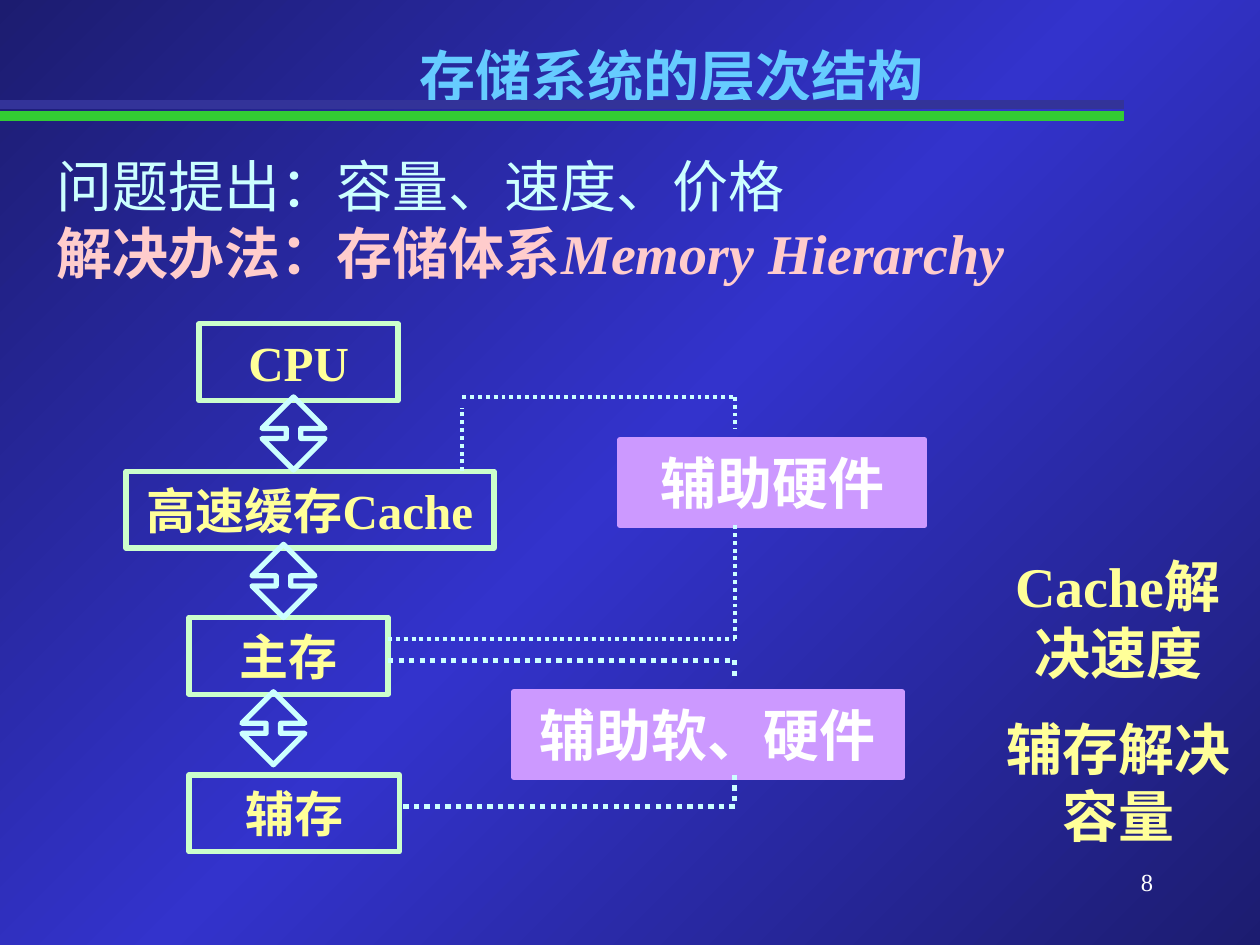
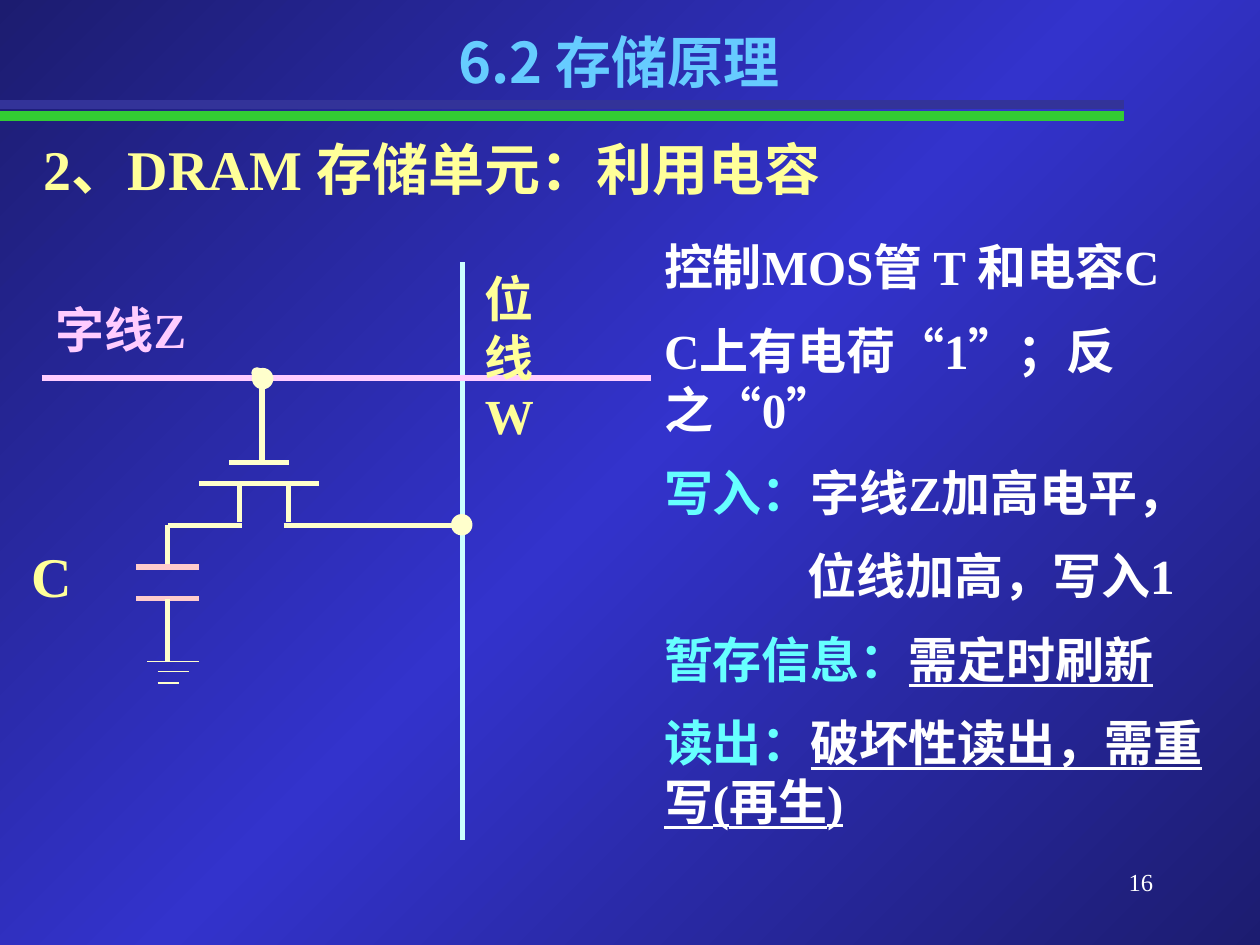
from copy import deepcopy
from dataclasses import dataclass
from itertools import pairwise

from lxml import etree
from pptx import Presentation
from pptx import util as u
from pptx.dml.color import RGBColor
from pptx.enum import dml, shapes, text
from pptx.oxml.ns import qn


@dataclass(frozen=True)
class Theme:
    """Colours, fonts and type sizes shared by the slides."""
    edge: str = "1C1C70"
    middle: str = "3333CC"
    green: str = "33CC33"
    navy: str = "333399"
    title: str = "66CCFF"
    white: str = "FFFFFF"
    yellow: str = "FFFF99"
    ice: str = "CCFFFF"
    mint: str = "CCFFCC"
    rose: str = "FFCCCC"
    pink: str = "FFCCFF"
    cream: str = "FFFFCC"
    violet: str = "CC99FF"
    cyan: str = "66FFFF"
    latin: str = "Times New Roman"
    cjk: str = "Noto Sans CJK SC"
    large: int = 32
    medium: int = 28
    small: int = 14


T = Theme()
ALIGN = text.PP_ALIGN
RECT = shapes.MSO_SHAPE.RECTANGLE


def rgb(value):
    """Turn a hex string into a colour."""
    return RGBColor.from_string(value)


def style_run(r, size, color, bold=True, italic=False, underline=False, font=T.latin):
    """Format one run, with its East Asian font."""
    f = r.font
    f.size, f.bold, f.italic, f.underline = u.Pt(size), bold, italic, underline
    f.name = font
    f.color.rgb = rgb(color)
    etree.SubElement(r._r.get_or_add_rPr(), qn("a:ea"), typeface=T.cjk)


def write(sp, paragraphs, size, color, align=ALIGN.LEFT, anchor=text.MSO_ANCHOR.TOP, **kw):
    """Fill a shape with paragraphs, each a string or a list of (text, changes); None breaks a line."""
    tf = sp.text_frame
    tf.word_wrap = True
    tf.auto_size = text.MSO_AUTO_SIZE.NONE
    tf.vertical_anchor = anchor
    for i, runs in enumerate(paragraphs):
        p = tf.paragraphs[0] if i == 0 else tf.add_paragraph()
        pPr = p._p.get_or_add_pPr()
        pPr.set("marL", "0")
        pPr.set("indent", "0")
        etree.SubElement(pPr, qn("a:buNone"))
        p.alignment = align
        p.space_before = u.Pt(size / 2 if i else 0)
        for run in [(runs, {})] if isinstance(runs, str) else runs:
            if run is None:
                p.add_line_break()
                continue
            r = p.add_run()
            r.text = run[0]
            style_run(r, **{"size": size, "color": color, **kw, **run[1]})
    return tf


def place(sp, x, y, w, h):
    """Move and size a shape."""
    sp.left, sp.top, sp.width, sp.height = map(u.Inches, (x, y, w, h))
    return sp


def add_label(parent, x, y, w, h, paragraphs, size, color, **kw):
    """Add a text box."""
    tb = parent.add_textbox(*map(u.Inches, (x, y, w, h)))
    return write(tb, paragraphs, size, color, **kw)


def add_form(parent, kind, x, y, w, h, line=None, fill=None, weight=3):
    """Add a preset shape with a plain outline and fill."""
    sp = parent.add_shape(kind, *map(u.Inches, (x, y, w, h)))
    sp.shadow.inherit = False
    if fill:
        sp.fill.solid()
        sp.fill.fore_color.rgb = rgb(fill)
    else:
        sp.fill.background()
    if line:
        sp.line.color.rgb = rgb(line)
        sp.line.width = u.Pt(weight)
    else:
        sp.line.fill.background()
    return sp


def add_route(parent, x, y, points, color, weight=3, dash=None):
    """Join points, given relative to x and y, with straight lines."""
    for (x1, y1), (x2, y2) in pairwise(points):
        ends = map(u.Inches, (x + x1, y + y1, x + x2, y + y2))
        c = parent.add_connector(shapes.MSO_CONNECTOR.STRAIGHT, *ends)
        c.line.color.rgb = rgb(color)
        c.line.width = u.Pt(weight)
        if dash:
            c.line.dash_style = dash
        etree.SubElement(c._element.spPr, qn("a:effectLst"))


def set_background(master):
    """Give the master a diagonal three-stop gradient."""
    fill = master.background.fill
    fill.gradient()
    fill.gradient_angle = 315
    for stop, color, pos in zip(fill.gradient_stops, (T.edge, T.middle), (0, 0.5)):
        stop.color.rgb = rgb(color)
        stop.position = pos
    stops = master.element.find(".//" + qn("a:gsLst"))
    last = deepcopy(stops[0])
    last.set("pos", "100000")
    stops.append(last)


def add_page(prs, title, title_box, number):
    """Add a slide with its bands, title and number."""
    s = prs.slides.add_slide(prs.slide_layouts[1])
    for y, color in ((0.92, T.green), (0.83, T.navy)):
        add_route(s.shapes, 0, y, [(0, 0), (8.92, 0)], color, 5.5)
    write(place(s.shapes.title, *title_box), [title], T.large, T.title,
          align=ALIGN.CENTER, font=T.cjk)
    add_label(s.shapes, 7.17, 6.83, 2.08, 0.5, [number], T.small, T.white,
              align=ALIGN.RIGHT, bold=False)
    return s


def draw_hierarchy(parent, x, y):
    """Draw the memory levels, their arrows and the supporting units."""
    centred = {"align": ALIGN.CENTER, "anchor": text.MSO_ANCHOR.MIDDLE}
    levels = [("CPU", 0.58, 0, 1.58), ("高速缓存Cache", 0, 1.17, 2.92),
              ("主存", 0.5, 2.33, 1.58), ("辅存", 0.5, 3.58, 1.67)]
    for name, dx, dy, w in levels:
        sp = add_form(parent, RECT, x + dx, y + dy, w, 0.61, T.mint)
        write(sp, [name], T.medium, T.yellow, **centred)
    for i in range(3):
        arrow = add_form(parent, shapes.MSO_SHAPE.UP_DOWN_ARROW,
                         x + 1.08 - 0.08 * i, y + 0.58 + 1.17 * i, 0.5, 0.58, T.ice)
        arrow.adjustments[0], arrow.adjustments[1] = 0.5, 0.23
    for name, dx, dy, w in (("辅助硬件", 3.92, 0.92, 2.42), ("辅助软、硬件", 3.08, 2.92, 3.08)):
        sp = add_form(parent, RECT, x + dx, y + dy, w, 0.68, T.violet, T.violet)
        write(sp, [name], T.large, T.white, **centred)
    routes = {
        3: [[(2.08, 2.67), (4.83, 2.67), (4.83, 2.83)],
            [(4.83, 3.58), (4.83, 3.83), (2.17, 3.83)]],
        2.25: [[(2.08, 2.5), (4.83, 2.5), (4.83, 1.58)],
               [(2.67, 1.17), (2.67, 0.67)],
               [(2.67, 0.58), (4.83, 0.58), (4.83, 0.83)]],
    }
    for weight, group in routes.items():
        for points in group:
            add_route(parent, x, y, points, T.ice, weight, dml.MSO_LINE.ROUND_DOT)


def draw_cell(parent, x, y):
    """Draw the one-transistor DRAM cell with its labels."""
    wires = [
        (T.ice, 3, [(3.67, 0), (3.67, 4.59)]),
        (T.pink, 3, [(0.33, 0.92), (5.17, 0.92)]),
        (T.cream, 3, [(1.82, 1.59), (2.29, 1.59)]),
        (T.cream, 3, [(1.58, 1.76), (2.53, 1.76)]),
        (T.cream, 3, [(2.29, 1.76), (2.29, 2.06)]),
        (T.cream, 3, [(1.9, 1.76), (1.9, 2.06)]),
        (T.cream, 3, [(2.08, 0.92), (2.08, 1.59)]),
        (T.cream, 3, [(2.25, 2.09), (3.67, 2.09)]),
        (T.cream, 3, [(1.92, 2.09), (1.33, 2.09), (1.33, 2.42)]),
        (T.rose, 3, [(1.08, 2.42), (1.58, 2.42)]),
        (T.rose, 3, [(1.08, 2.67), (1.58, 2.67)]),
        (T.cream, 3, [(1.33, 2.67), (1.33, 3.17)]),
        (T.cream, 0.75, [(1.17, 3.17), (1.58, 3.17)]),
        (T.cream, 0.75, [(1.25, 3.25), (1.5, 3.25)]),
        (T.cream, 0.75, [(1.25, 3.34), (1.42, 3.34)]),
    ]
    for color, weight, points in wires:
        add_route(parent, x, y, points, color, weight)
    for dx, dy, d, line in ((2, 0.84, 0.08, T.cream), (3.58, 2, 0.17, None), (2, 0.84, 0.17, None)):
        add_form(parent, shapes.MSO_SHAPE.OVAL, x + dx, y + dy, d, d, line, T.cream, 0.75)
    labels = [("字线Z", 0, 0.25, 1.92, 0.57, T.medium, T.pink),
              ("位线W", 3.75, 0, 0.5, 1.5, T.medium, T.yellow),
              ("C", 0, 2.17, 0.83, 0.63, T.large, T.yellow)]
    for name, dx, dy, w, h, size, color in labels:
        add_label(parent, x + dx, y + dy, w, h, [name], size, color, align=ALIGN.CENTER)


def hierarchy_slide(prs):
    """Build the slide on the storage hierarchy."""
    s = add_page(prs, "存储系统的层次结构", (1.38, 0.28, 7.9, 0.63), "8")
    solution = {"color": T.rose, "bold": True}
    write(place(s.placeholders[1], 0.35, 1.15, 9.17, 1.17),
          [[("问题提出：容量、速度、价格", {}), None, ("解决办法：存储体系", solution),
            ("Memory Hierarchy", {**solution, "italic": True})]],
          T.large, T.ice, bold=False)
    draw_hierarchy(s.shapes, 1, 2.57)
    add_label(s.shapes, 7.75, 4.33, 2.25, 2.5, ["Cache解决速度", "辅存解决容量"],
              T.large, T.yellow, align=ALIGN.CENTER)


def dram_slide(prs):
    """Build the slide on the DRAM storage cell."""
    s = add_page(prs, "6.2 存储原理", (2.33, 0.17, 5.17, 0.63), "16")
    tf = add_label(s.shapes, 0.25, 1.08, 9, 0.58, ["2、DRAM 存储单元：利用电容"],
                   T.large, T.yellow)
    tf.paragraphs[0].line_spacing = 0.9
    draw_cell(s.shapes.add_group_shape().shapes, 0, 2.08)
    key, underlined = {"color": T.cyan}, {"underline": True}
    tf = write(place(s.placeholders[1], 5.17, 1.83, 4.83, 4.54),
               ["控制MOS管 T 和电容C",
                "C上有电荷“1”；反之“0”",
                [("写入：", key), ("字线Z加高电平，", {})],
                "位线加高，写入1",
                [("暂存信息：", key), ("需定时刷新", underlined)],
                [("读出：", key), ("破坏性读出，需重写(再生)", underlined)]],
               T.medium, T.white)
    tf.paragraphs[3]._p.get_or_add_pPr().set("marL", str(u.Inches(1.14)))


def main():
    """Build and save the presentation."""
    prs = Presentation()
    prs.slide_width, prs.slide_height = u.Inches(10), u.Inches(7.5)
    set_background(prs.slide_master)
    hierarchy_slide(prs)
    dram_slide(prs)
    prs.save("out.pptx")


if __name__ == "__main__":
    main()
